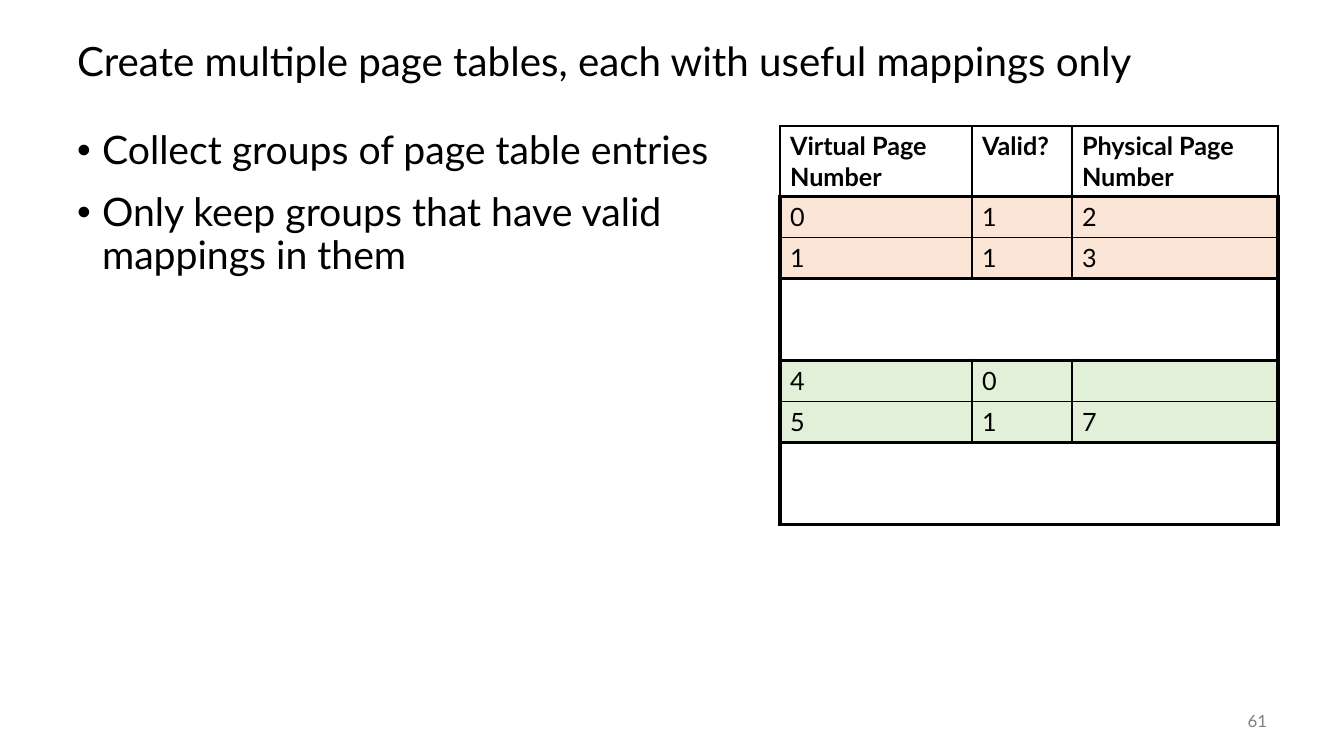
"""Build a slide on splitting a page table into groups of useful mappings."""
from lxml import etree
from pptx import Presentation
from pptx.dml.color import RGBColor
from pptx.enum.text import MSO_ANCHOR, MSO_AUTO_SIZE, PP_ALIGN
from pptx.oxml.ns import qn
from pptx.util import Emu, Pt

LEFT, RIGHT = PP_ALIGN.LEFT, PP_ALIGN.RIGHT
TOP, MIDDLE = MSO_ANCHOR.TOP, MSO_ANCHOR.MIDDLE
NO_AUTOFIT = MSO_AUTO_SIZE.NONE

SCALE = 914400 / 100.8
PAGE_WIDTH, PAGE_HEIGHT = 1344, 756
FONT = "Lato"
COLORS = {
    "ink": "000000",
    "paper": "FFFFFF",
    "number": "808080",
    "first group": "FBE5D6",
    "third group": "E2F0D9",
}
THIN, THICK, NONE = 1, 3, 0

HEADINGS = ["Virtual Page Number", "Valid?", "Physical Page Number"]
GROUPS = [
    ("first group", [["0", "1", "2"], ["1", "1", "3"]]),
    ("paper", [["", "", ""], ["", "", ""]]),
    ("third group", [["4", "0", ""], ["5", "1", "7"]]),
    ("paper", [["", "", ""], ["", "", ""]]),
]
COLUMN_WIDTHS = [192, 100, 206]
HEADER_HEIGHT, ROW_HEIGHT = 70, 41


def px(length):
    return Emu(round(length * SCALE))


def write(para, text, size=18, color="ink", bold=False, align=LEFT,
          spacing=1.0, before=0, bullet=False):
    if bullet:
        properties = para._p.get_or_add_pPr()
        properties.set("marL", str(px(25)))
        properties.set("indent", str(-px(25)))
        etree.SubElement(properties, qn("a:buFont"), typeface="Arial")
        etree.SubElement(properties, qn("a:buChar"), char="•")
    para.alignment = align
    para.line_spacing = spacing
    para.space_before = Pt(before)
    para.font.size = Pt(size)
    if text:
        span = para.add_run()
        span.text = text
        span.font.name = FONT
        span.font.size = Pt(size)
        span.font.bold = bold
        span.font.color.rgb = RGBColor.from_string(COLORS[color])


class Slide:
    def __init__(self, deck):
        self.page = deck.slides.add_slide(deck.slide_layouts[1])

    def place(self, box, left, top, width, height, anchor):
        box.left, box.top = px(left), px(top)
        box.width, box.height = px(width), px(height)
        frame = box.text_frame
        frame.auto_size = NO_AUTOFIT
        frame.word_wrap = True
        frame.vertical_anchor = anchor
        return frame

    def title(self, text, *area):
        frame = self.place(self.page.shapes.title, *area, MIDDLE)
        write(frame.paragraphs[0], text, size=28.8, spacing=0.9)

    def bullets(self, items, *area):
        frame = self.place(self.page.placeholders[1], *area, TOP)
        for index, item in enumerate(items):
            para = frame.add_paragraph() if index else frame.paragraphs[0]
            write(para, item, size=28, spacing=0.9,
                  before=14 if index else 0, bullet=True)

    def number(self, text, *area):
        box = self.page.shapes.add_textbox(0, 0, 0, 0)
        frame = self.place(box, *area, MIDDLE)
        write(frame.paragraphs[0], text, size=12, color="number", align=RIGHT)

    def cell(self, cell, text, fill, borders, bold=False):
        write(cell.text_frame.paragraphs[0], text, bold=bold)
        properties = cell._tc.get_or_add_tcPr()
        for side, width in zip("LRTB", borders):
            line = etree.SubElement(properties, qn(f"a:ln{side}"), w=str(Pt(width)))
            if width:
                paint = etree.SubElement(line, qn("a:solidFill"))
                etree.SubElement(paint, qn("a:srgbClr"), val=COLORS["ink"])
            else:
                etree.SubElement(line, qn("a:noFill"))
        cell.fill.solid()
        cell.fill.fore_color.rgb = RGBColor.from_string(COLORS[fill])

    def page_table(self, left, top):
        row_count = 1 + sum(len(rows) for _, rows in GROUPS)
        height = HEADER_HEIGHT + (row_count - 1) * ROW_HEIGHT
        frame = self.page.shapes.add_table(
            row_count, len(HEADINGS), px(left), px(top),
            px(sum(COLUMN_WIDTHS)), px(height))
        table = frame.table
        for column, width in zip(table.columns, COLUMN_WIDTHS):
            column.width = px(width)
        for index, row in enumerate(table.rows):
            row.height = px(ROW_HEIGHT if index else HEADER_HEIGHT)
        for column, heading in enumerate(HEADINGS):
            self.cell(table.cell(0, column), heading, "paper",
                      (THIN, THIN, THIN, THICK), bold=True)
        row = 1
        for fill, entries in GROUPS:
            inner = NONE if fill == "paper" else THIN
            for place, values in enumerate(entries):
                for column, value in enumerate(values):
                    borders = (
                        THICK if column == 0 else inner,
                        THICK if column == len(values) - 1 else inner,
                        THICK if place == 0 else inner,
                        THICK if place == len(entries) - 1 else inner,
                    )
                    self.cell(table.cell(row, column), value, fill, borders)
                row += 1


def main():
    deck = Presentation()
    deck.slide_width, deck.slide_height = px(PAGE_WIDTH), px(PAGE_HEIGHT)
    slide = Slide(deck)
    slide.title("Create multiple page tables, each with useful mappings only",
                67, 25, 1210, 76)
    slide.number("61", 1176, 701, 101, 40)
    slide.page_table(780, 126)
    slide.bullets(["Collect groups of page table entries",
                   "Only keep groups that have valid mappings in them"],
                  67, 126, 699, 554)
    deck.save("out.pptx")


if __name__ == "__main__":
    main()
